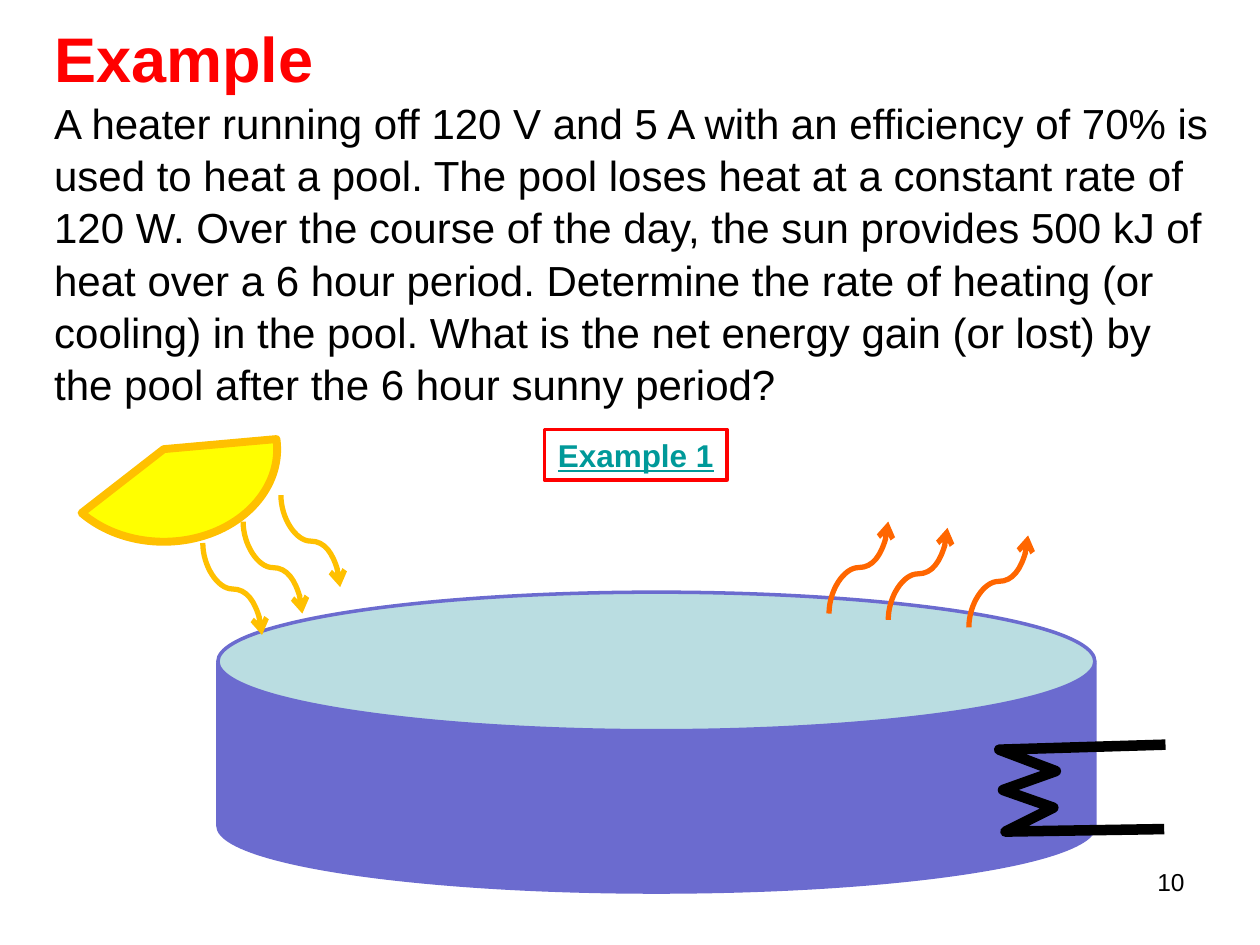
from lxml import etree
from pptx import Presentation
from pptx.dml.color import RGBColor
from pptx.enum.shapes import MSO_CONNECTOR, MSO_SHAPE
from pptx.enum.text import MSO_ANCHOR, MSO_AUTO_SIZE, PP_ALIGN
from pptx.oxml.ns import qn
from pptx.util import Inches, Pt

CURVE = MSO_CONNECTOR.CURVE
CAN, ELLIPSE, PIE = MSO_SHAPE.CAN, MSO_SHAPE.OVAL, MSO_SHAPE.PIE
MIDDLE, TOP = MSO_ANCHOR.MIDDLE, MSO_ANCHOR.TOP
LEFT, CENTER, RIGHT = PP_ALIGN.LEFT, PP_ALIGN.CENTER, PP_ALIGN.RIGHT
NO_FIT = MSO_AUTO_SIZE.NONE
FIT_SHAPE = MSO_AUTO_SIZE.SHAPE_TO_FIT_TEXT

COLUMNS, ROWS = 100, 75
CELL = Inches(0.1)
COLORS = {
    "heading": "FF0000", "text": "000000", "link": "009999",
    "wall": "6B6BCF", "water": "BADDE1", "sun": "FFFF00",
    "ray": "FFC000", "loss": "FF6600", "heater": "000000",
}
PROBLEM = (
    "A heater running off 120 V and 5 A with an efficiency of 70% is used to "
    "heat a pool. The pool loses heat at a constant rate of 120 W. Over the "
    "course of the day, the sun provides 500 kJ of heat over a 6 hour period. "
    "Determine the rate of heating (or cooling) in the pool. What is the net "
    "energy gain (or lost) by the pool after the 6 hour sunny period?"
)
HEATER_COIL = [(92.5, 59.1), (79.3, 59.5), (83.8, 61.2), (79.6, 62.7),
               (83.6, 64.1), (79.8, 66), (92.4, 65.8)]
RAY_STARTS = [(22.3, 39.3), (19.3, 41.4), (16.1, 43.1)]
LOSS_STARTS = [(76.9, 49.8), (70.5, 49.2), (65.8, 48.7)]
WAVE_RUN, WAVE_RISE = 4.7, 7.3


def grid(*cells):
    return [round(cell * CELL) for cell in cells]


def color(key):
    return RGBColor.from_string(COLORS[key])


def apply(target, values):
    for attribute, value in values.items():
        setattr(target, attribute, value)


def style_line(line, key, points):
    line.color.rgb = color(key)
    line.width = Pt(points)


def add_run(paragraph, words, key, points, **values):
    run = paragraph.add_run()
    run.text = words
    apply(run.font, {"name": "Arial", "size": Pt(points), **values})
    run.font.color.rgb = color(key)


def write_problem(slide):
    title = slide.shapes.title
    title.left, title.top, title.width, title.height = grid(3.3, 0.5, 94.2, 32.8)
    frame = title.text_frame
    apply(frame, {"vertical_anchor": MIDDLE, "auto_size": NO_FIT, "word_wrap": True})
    paragraph = frame.paragraphs[0]
    apply(paragraph, {"alignment": LEFT, "line_spacing": 1.04})
    add_run(paragraph, "Example", "heading", 36, bold=True)
    paragraph.add_line_break()
    add_run(paragraph, PROBLEM, "text", 24, bold=False)


def add_label(slide, box, words, key, points, alignment, frame_values, **values):
    label = slide.shapes.add_textbox(*grid(*box))
    apply(label.text_frame, {"vertical_anchor": TOP, **frame_values})
    paragraph = label.text_frame.paragraphs[0]
    paragraph.alignment = alignment
    add_run(paragraph, words, key, points, **values)
    return label


def add_solid(group, preset, box, fill, outline, points, adjustments=()):
    solid = group.shapes.add_shape(preset, *grid(*box))
    solid.shadow.inherit = False
    for index, value in enumerate(adjustments):
        solid.adjustments[index] = value
    solid.fill.solid()
    solid.fill.fore_color.rgb = color(fill)
    style_line(solid.line, outline, points)


def add_heater(group):
    start, *bends = [grid(*point) for point in HEATER_COIL]
    builder = group.shapes.build_freeform(*start)
    builder.add_line_segments(bends, close=False)
    heater = builder.convert_to_shape()
    heater.shadow.inherit = False
    heater.fill.background()
    style_line(heater.line, "heater", 6)


def add_wave(group, start, key, rising):
    direction = -1 if rising else 1
    middle_x = start[0] + WAVE_RUN / 2
    middle_y = start[1] + direction * WAVE_RISE / 2
    right, left = middle_x + WAVE_RISE / 2, middle_x - WAVE_RISE / 2
    begin_y = middle_y - direction * WAVE_RUN / 2
    end_y = middle_y + direction * WAVE_RUN / 2
    wave = group.shapes.add_connector(CURVE, *grid(right, begin_y, left, end_y))
    style_line(wave.line, key, 3)
    properties = wave._element.spPr
    quarter_turns = 1 if rising else 3
    properties.find(qn("a:xfrm")).set("rot", str(quarter_turns * 90 * 60000))
    etree.SubElement(properties.find(qn("a:ln")), qn("a:tailEnd"), type="arrow")
    etree.SubElement(properties, qn("a:effectLst"))


def draw_pool(slide):
    pool = slide.shapes.add_group_shape()
    add_solid(pool, CAN, (17.3, 47.4, 69.6, 23.4), "wall", "wall", 2, [0.45])
    add_solid(pool, ELLIPSE, (17.3, 47, 69.6, 11), "water", "wall", 2)
    add_heater(pool)
    add_solid(pool, PIE, (4, 28.3, 18, 14.7), "sun", "ray", 4.5, [212.94, 85.28])
    for start in RAY_STARTS:
        add_wave(pool, start, "ray", rising=False)
    for start in LOSS_STARTS:
        add_wave(pool, start, "loss", rising=True)


def main():
    presentation = Presentation()
    presentation.slide_width = COLUMNS * CELL
    presentation.slide_height = ROWS * CELL
    slide = presentation.slides.add_slide(presentation.slide_layouts[5])
    write_problem(slide)
    add_label(slide, (71.7, 68.3, 23.3, 5.2), "10", "text", 14, RIGHT,
              {"word_wrap": True})
    draw_pool(slide)
    example = add_label(slide, (43.2, 34.1, 14.5, 4), "Example 1", "link", 18, CENTER,
                        {"word_wrap": False, "auto_size": FIT_SHAPE},
                        bold=True, underline=True)
    style_line(example.line, "heading", 2)
    presentation.save("out.pptx")


if __name__ == "__main__":
    main()
